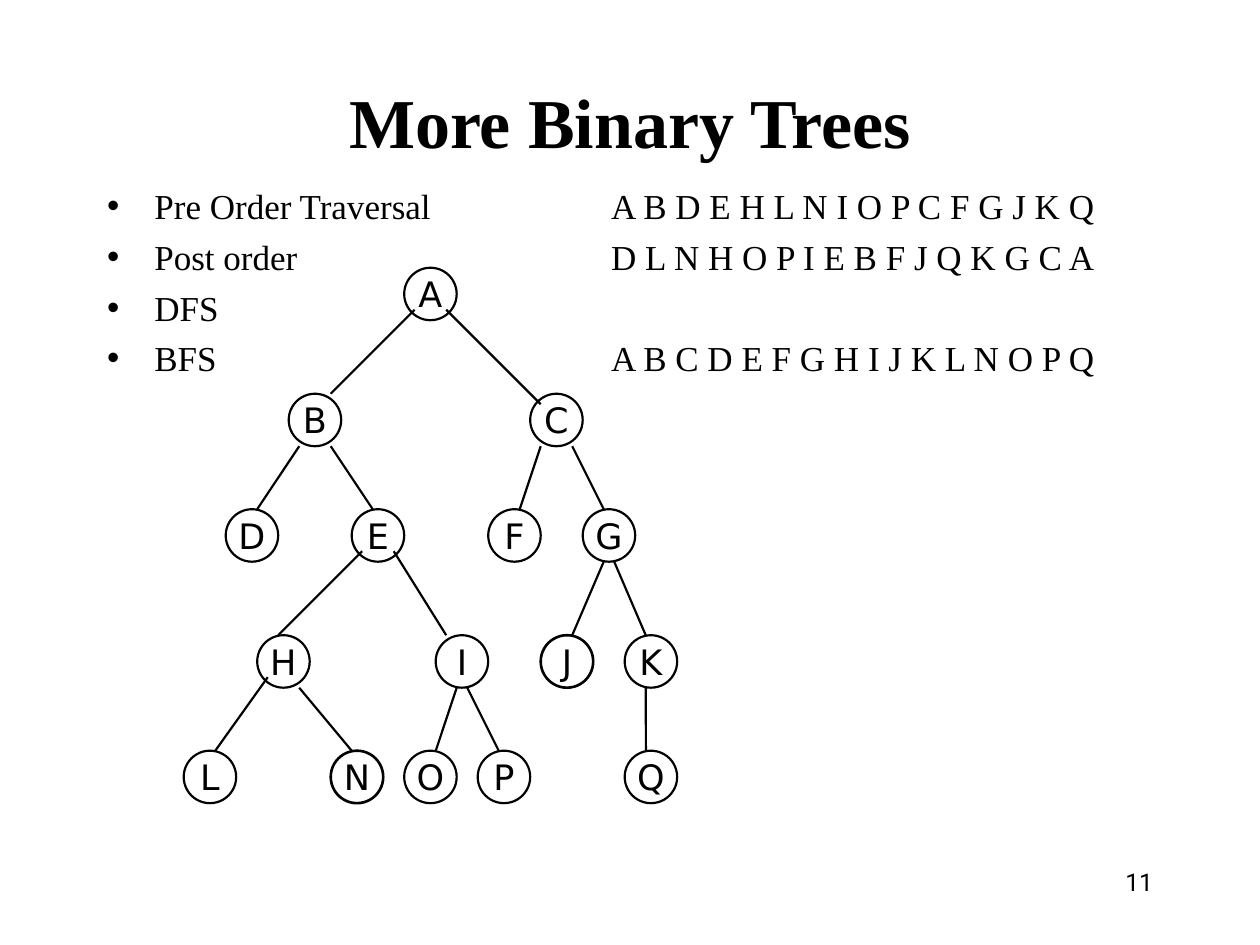
from lxml import etree
from pptx import Presentation
from pptx.dml.color import RGBColor
from pptx.enum.shapes import MSO_CONNECTOR, MSO_SHAPE
from pptx.enum.text import MSO_ANCHOR, MSO_AUTO_SIZE, PP_ALIGN
from pptx.oxml.ns import qn
from pptx.util import Pt

BLACK = RGBColor(0, 0, 0)
SERIF, SANS, NUMBER_FONT = "Times New Roman", "DejaVu Sans", "Roboto"
ELLIPSE, STRAIGHT = MSO_SHAPE.OVAL, MSO_CONNECTOR.STRAIGHT
MIDDLE, TOP, NO_FIT = MSO_ANCHOR.MIDDLE, MSO_ANCHOR.TOP, MSO_AUTO_SIZE.NONE
CENTER, RIGHT = PP_ALIGN.CENTER, PP_ALIGN.RIGHT

TRAVERSALS = [
    ("Pre Order Traversal", "A B D E H L N I O P C F G J K Q"),
    ("Post order", "D L N H O P I E B F J Q K G C A"),
    ("DFS", ""),
    ("BFS", "A B C D E F G H I J K L N O P Q"),
]
DIAMETER = 30
LEVELS = [
    (0, {"A": 126}),
    (72, {"B": 60, "C": 198}),
    (138, {"D": 24, "E": 96, "F": 174, "G": 228}),
    (210, {"H": 42, "I": 144, "J": 204, "K": 252}),
    (276, {"L": 0, "N": 84, "O": 126, "P": 168, "Q": 252}),
]
HEAVY_NODES = "JN"
# Each edge: parent, child, offset inside the parent, offset inside the child.
EDGES = [
    ("A", "B", (6, 24), (24, 0)), ("A", "C", (24, 24), (6, 6)),
    ("B", "D", (6, 30), (18, 0)), ("B", "E", (24, 30), (12, 0)),
    ("C", "F", (6, 30), (18, 0)), ("C", "G", (24, 30), (12, 0)),
    ("E", "H", (6, 24), (12, 0)), ("E", "I", (24, 24), (6, 0)),
    ("G", "J", (12, 30), (18, 0)), ("G", "K", (18, 30), (12, 0)),
    ("H", "L", (6, 24), (18, 0)), ("H", "N", (24, 30), (12, 0)),
    ("I", "O", (12, 30), (18, 0)), ("I", "P", (18, 30), (12, 0)),
    ("K", "Q", (12, 30), (12.1, 0)),
]


def place(sp, left, top, width, height):
    """Move and size a shape in points."""
    sp.left, sp.top, sp.width, sp.height = map(Pt, (left, top, width, height))


def format_text(p, font, size, bold=False):
    """Give every run of a paragraph its font."""
    for r in p.runs:
        r.font.name, r.font.size, r.font.bold = font, Pt(size), bold
        r.font.color.rgb = BLACK


def add_bullet_and_tab(p, indent, tab):
    """Give a paragraph a hanging bullet and one left tab stop."""
    pPr = p._p.get_or_add_pPr()
    pPr.set("marL", str(Pt(indent)))
    pPr.set("indent", str(-Pt(indent)))
    etree.SubElement(pPr, qn("a:buChar"), char="•")
    stops = etree.SubElement(pPr, qn("a:tabLst"))
    etree.SubElement(stops, qn("a:tab"), pos=str(Pt(tab)), algn="l")


def fill_title(sp, left, top, width, height):
    """Write the slide title in its placeholder."""
    place(sp, left, top, width, height)
    tf = sp.text_frame
    tf.text = "More Binary Trees"
    tf.auto_size, tf.vertical_anchor = NO_FIT, MIDDLE
    tf.paragraphs[0].alignment = CENTER
    format_text(tf.paragraphs[0], SERIF, 40, True)


def fill_traversals(sp, left, top, width, height):
    """List the traversal names and their node sequences."""
    place(sp, left, top, width, height)
    tf = sp.text_frame
    tf.text = "\n".join("\t".join(filter(None, row)) for row in TRAVERSALS)
    tf.auto_size, tf.vertical_anchor = NO_FIT, TOP
    for p in tf.paragraphs:
        p.space_before = Pt(4.9)
        add_bullet_and_tab(p, 27, 288)
        format_text(p, SERIF, 20)


def add_node(s, label, left, top):
    """Draw one labelled tree node."""
    sp = s.shapes.add_shape(ELLIPSE, Pt(left), Pt(top), Pt(DIAMETER), Pt(DIAMETER))
    sp.shadow.inherit = False
    sp.fill.background()
    sp.line.color.rgb = BLACK
    sp.line.width = Pt(1.5 if label in HEAVY_NODES else 1.25)
    tf = sp.text_frame
    tf.text, tf.word_wrap, tf.vertical_anchor = label, False, MIDDLE
    tf.paragraphs[0].alignment = CENTER
    format_text(tf.paragraphs[0], SANS, 20)


def add_edge(s, start, end):
    """Draw one tree edge between two points."""
    line = s.shapes.add_connector(STRAIGHT, *map(Pt, (*start, *end)))
    line.line.color.rgb, line.line.width = BLACK, Pt(1.25)
    etree.SubElement(line._element.spPr, qn("a:effectLst"))


def add_tree(s, left, top):
    """Draw the binary tree from its top left corner."""
    nodes = {label: (left + x, top + y) for y, row in LEVELS for label, x in row.items()}
    for label, (x, y) in nodes.items():
        add_node(s, label, x, y)
    for parent, child, out, into in EDGES:
        start = [a + b for a, b in zip(nodes[parent], out)]
        end = [a + b for a, b in zip(nodes[child], into)]
        add_edge(s, start, end)


def add_slide_number(s, left, top, width, height):
    """Write the slide number at the right of its box."""
    sp = s.shapes.add_textbox(*map(Pt, (left, top, width, height)))
    tf = sp.text_frame
    tf.text, tf.word_wrap = "11", True
    tf.paragraphs[0].alignment = RIGHT
    format_text(tf.paragraphs[0], NUMBER_FONT, 14)


def main():
    """Build the slide and save it."""
    prs = Presentation()
    prs.slide_width, prs.slide_height = Pt(720), Pt(540)
    s = prs.slides.add_slide(prs.slide_layouts[1])
    fill_title(s.shapes.title, 54, 48, 612, 42)
    fill_traversals(s.placeholders[1], 54, 102, 612, 378)
    add_tree(s, 105, 153)
    add_slide_number(s, 516, 492, 150, 36)
    prs.save("out.pptx")


if __name__ == "__main__":
    main()
